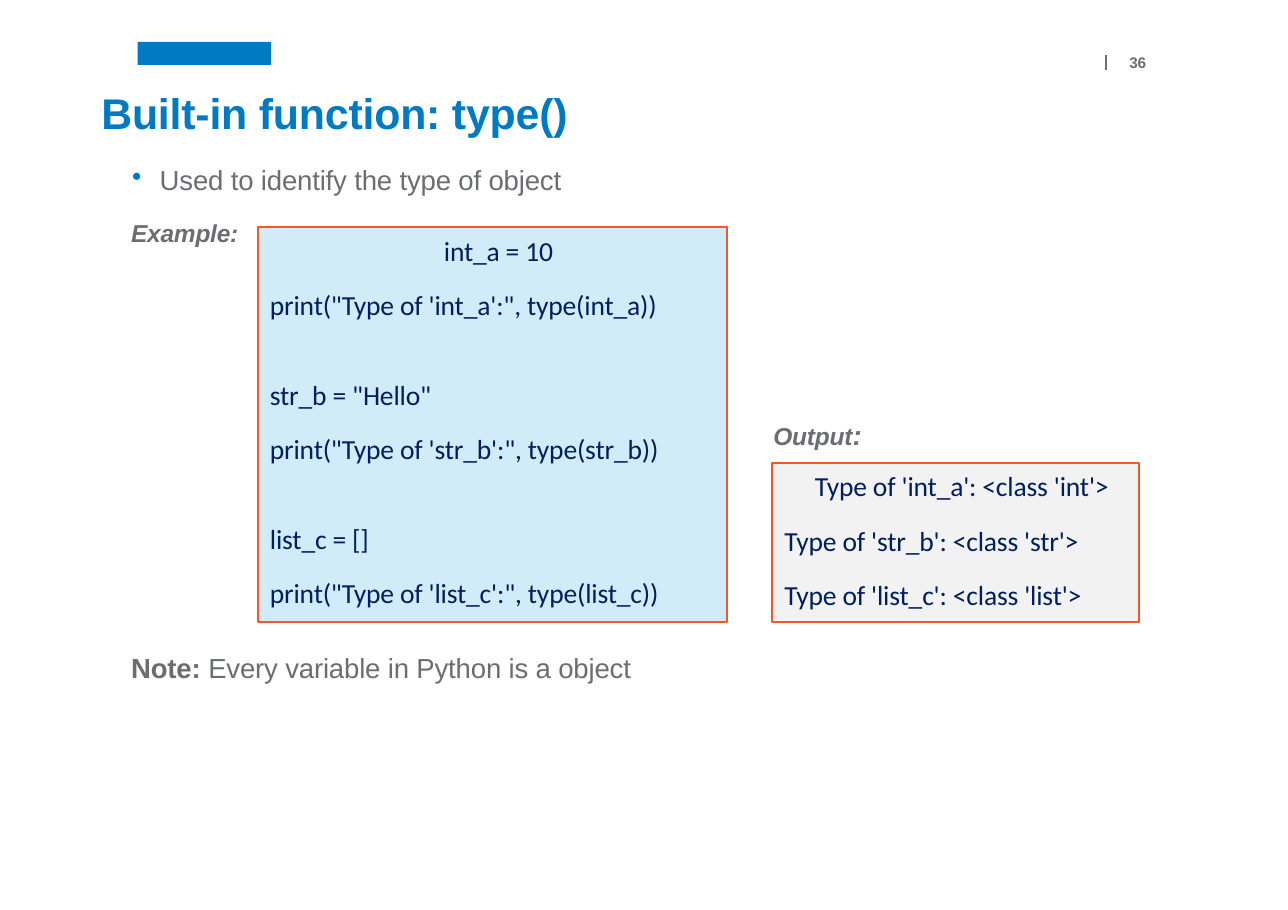
from dataclasses import dataclass

from lxml.etree import SubElement as Sub
from pptx import Presentation
from pptx.dml.color import RGBColor as Rgb
from pptx.enum.shapes import MSO_CONNECTOR as Link, MSO_SHAPE as Kind
from pptx.enum.text import MSO_ANCHOR as Anchor
from pptx.oxml.ns import qn
from pptx.slide import Slide
from pptx.text.text import TextFrame
from pptx.util import Emu, Pt

PX = 9144
BLUE, GREY, NAVY, RED = "007BC3", "6C6D70", "001F5F", "F15928"


@dataclass
class Run:
    text: str
    bold: bool | None = None
    size: int | None = None


@dataclass
class Line:
    runs: list[Run]
    gap: float = 0


@dataclass
class Look:
    font: str
    size: int
    color: str
    bold: bool = False
    slant: bool = False


@dataclass
class Label:
    box: tuple[int, int, int, int]
    runs: list[Run]
    look: Look
    dot: bool = False


@dataclass
class Panel:
    box: tuple[int, int, int, int]
    fill: str
    lines: list[Line]


def px(n: int) -> Emu:
    return Emu(n * PX)


def rgb(code: str) -> Rgb:
    return Rgb.from_string(code)


def write(frame: TextFrame, lines: list[Line], look: Look, dot: bool = False) -> None:
    frame.word_wrap = True
    frame.vertical_anchor = Anchor.TOP
    for i, line in enumerate(lines):
        para = frame.paragraphs[0] if i == 0 else frame.add_paragraph()
        if dot:
            props = para._p.get_or_add_pPr()
            props.set("marL", str(px(26)))
            props.set("indent", str(px(-25)))
            Sub(Sub(props, qn("a:buClr")), qn("a:srgbClr"), val=BLUE)
            Sub(props, qn("a:buChar"), char="•")
        para.space_before = Pt(line.gap)
        font = para.font
        font.name, font.size = look.font, Pt(look.size)
        font.bold, font.italic = look.bold, look.slant
        font.color.rgb = rgb(look.color)
        for part in line.runs:
            run = para.add_run()
            run.text = part.text
            run._r.get_or_add_rPr().set("spc", "-10")
            if part.bold is not None:
                run.font.bold = part.bold
            if part.size:
                run.font.size = Pt(part.size)


def pad(frame: TextFrame, left: int, top: int) -> None:
    frame.margin_left, frame.margin_top = px(left), px(top)
    frame.margin_right = frame.margin_bottom = 0


def put_label(slide: Slide, label: Label) -> None:
    frame = slide.shapes.add_textbox(*map(px, label.box)).text_frame
    pad(frame, 0, 0)
    write(frame, [Line(label.runs)], label.look, label.dot)


def put_panel(slide: Slide, panel: Panel) -> None:
    shape = slide.shapes.add_shape(Kind.RECTANGLE, *map(px, panel.box))
    shape.shadow.inherit = False
    shape.fill.solid()
    shape.fill.fore_color.rgb = rgb(panel.fill)
    shape.line.color.rgb = rgb(RED)
    shape.line.width = Pt(1.25)
    pad(shape.text_frame, 11, 6)
    write(shape.text_frame, panel.lines, Look("Calibri", 18, NAVY))


def put_marks(slide: Slide) -> None:
    bar = slide.shapes.add_shape(Kind.RECTANGLE, *map(px, (125, 38, 121, 21)))
    bar.shadow.inherit = False
    bar.fill.solid()
    bar.fill.fore_color.rgb = rgb(BLUE)
    bar.line.fill.background()
    rule = slide.shapes.add_connector(Link.STRAIGHT, *map(px, (1004, 50, 1004, 64)))
    rule.line.color.rgb = rgb("6D6E70")
    rule.line.width = Pt(0.96)
    Sub(rule._element.spPr, qn("a:effectLst"))


BODY = Look("Arial", 18, GREY)
HEAD = Look("Arial", 16, GREY, bold=True, slant=True)

LABELS = [
    Label((92, 79, 430, 47), [Run("Built-in function: type()")], Look("Arial", 28, BLUE, bold=True)),
    Label((119, 148, 400, 30), [Run("Used to identify the type of object")], BODY, dot=True),
    Label((119, 198, 101, 28), [Run("Example:")], HEAD),
    Label((119, 591, 465, 31), [Run("Note: ", bold=True), Run("Every variable in Python is a object")], BODY),
    Label((1025, 48, 18, 18), [Run("36")], Look("Arial", 10, GREY, bold=True)),
    Label((702, 379, 84, 31), [Run("Output"), Run(":", size=18)], HEAD),
]

CODE = [("int_a", "10"), ("str_b", '"Hello"'), ("list_c", "[]")]
KINDS = ["int", "str", "list"]


def code_lines() -> list[Line]:
    lines = []
    for i, (name, value) in enumerate(CODE):
        lines.append(Line([Run(f"{name} = {value}")], 37 if i else 3.4))
        lines.append(Line([Run(f"print(\"Type of '{name}':\", type({name}))")], 14))
    return lines


def out_lines() -> list[Line]:
    return [
        Line([Run(f"Type of '{name}': <class '{kind}'>")], 14 if i else 3.5)
        for i, ((name, _), kind) in enumerate(zip(CODE, KINDS))
    ]


def main() -> None:
    deck = Presentation()
    deck.slide_width, deck.slide_height = px(1169), px(826)
    slide = deck.slides.add_slide(deck.slide_layouts[6])
    put_marks(slide)
    for panel in (
        Panel((234, 206, 426, 359), "D1ECF8", code_lines()),
        Panel((701, 420, 333, 145), "F2F2F2", out_lines()),
    ):
        put_panel(slide, panel)
    for label in LABELS:
        put_label(slide, label)
    deck.save("out.pptx")


if __name__ == "__main__":
    main()
